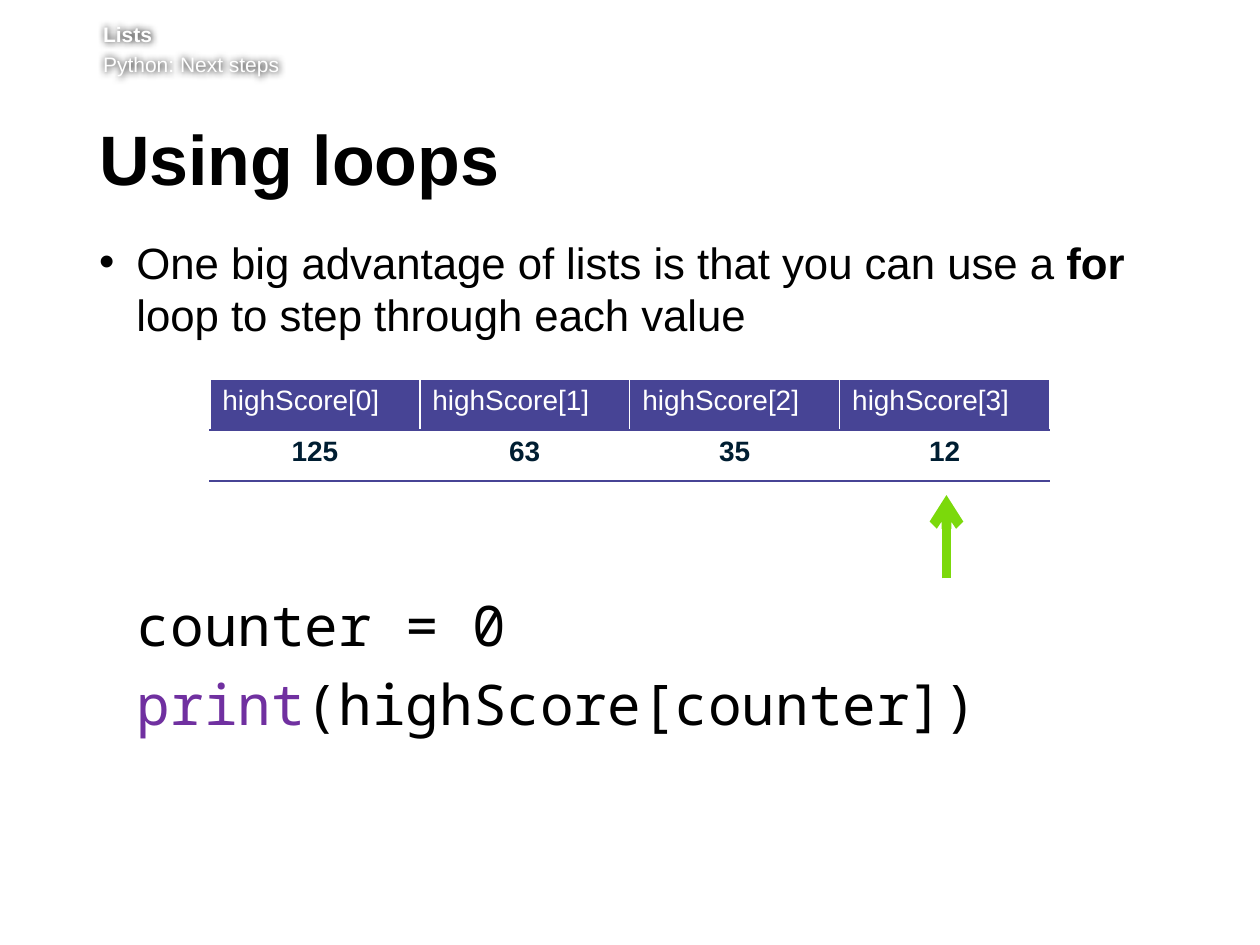
import pptx
import pptx.dml.color
import pptx.enum.shapes
import pptx.enum.text
import pptx.oxml
import pptx.oxml.ns
import pptx.util
from lxml import etree
from pptx.util import Cm, Pt

COLOURS = {
    "white": "FFFFFF",
    "text": "000000",
    "keyword": "7030A0",
    "table": "474495",
    "score": "001E32",
    "pointer": "7BD90B",
}
BODY_FONT = "Arial"
CODE_FONT = "Noto Sans Mono"
SCORES = [125, 63, 35, 12]


def rgb(name):
    return pptx.dml.color.RGBColor.from_string(COLOURS[name])


def add_xml(parent, tag, **attributes):
    child = etree.SubElement(parent, pptx.oxml.ns.qn(tag))
    for key, value in attributes.items():
        child.set(key, str(value))
    return child


def write(paragraph, text, size=25, font=BODY_FONT, colour="text", bold=False):
    run = paragraph.add_run()
    run.text = text
    run.font.size = Pt(size)
    run.font.name = font
    run.font.bold = bold
    run.font.color.rgb = rgb(colour)


def set_frame(frame, left=0, top=0, right=0.25, bottom=0.13):
    frame.word_wrap = True
    frame.auto_size = pptx.enum.text.MSO_AUTO_SIZE.NONE
    frame.vertical_anchor = pptx.enum.text.MSO_ANCHOR.TOP
    frame.margin_left, frame.margin_top = Cm(left), Cm(top)
    frame.margin_right, frame.margin_bottom = Cm(right), Cm(bottom)


def add_text_box(slide, left, top, width, height):
    box = slide.shapes.add_textbox(Cm(left), Cm(top), Cm(width), Cm(height))
    set_frame(box.text_frame)
    return box


def add_header(slide):
    header = add_text_box(slide, 2.08, 0.43, 22.4, 1.24)
    frame = header.text_frame
    for paragraph, text, bold in (
        (frame.paragraphs[0], "Lists", True),
        (frame.add_paragraph(), "Python: Next steps", False),
    ):
        paragraph.space_before = Pt(2.9)
        write(paragraph, text, size=12, colour="white", bold=bold)
    effects = add_xml(header._element.spPr, "a:effectLst")
    shadow = add_xml(effects, "a:outerShdw", blurRad=Pt(4), dist=0, algn="ctr", rotWithShape=0)
    add_xml(shadow, "a:srgbClr", val=COLOURS["text"])


def add_title(slide):
    title = slide.shapes.title
    title.left, title.top, title.width, title.height = Cm(2), Cm(2.51), Cm(21.72), Cm(1.85)
    set_frame(title.text_frame, top=0.13)
    heading = title.text_frame.paragraphs[0]
    heading.alignment = pptx.enum.text.PP_ALIGN.LEFT
    heading.line_spacing = Pt(39)
    write(heading, "Using loops", size=40, bold=True)


def add_bullet(slide):
    box = add_text_box(slide, 2, 4.75, 21.67, 2.5)
    point = box.text_frame.paragraphs[0]
    point.line_spacing = Pt(30)
    properties = point._p.get_or_add_pPr()
    properties.set("marL", str(Cm(0.75)))
    properties.set("indent", str(-Cm(0.75)))
    add_xml(properties, "a:buFont", typeface=BODY_FONT)
    add_xml(properties, "a:buChar", char="•")
    write(point, "One big advantage of lists is that you can use a ")
    write(point, "for", bold=True)
    write(point, " loop to step through each value")


def add_code(slide):
    frame = add_text_box(slide, 2.76, 11.9, 20.9, 3.6).text_frame
    assignment, call = frame.paragraphs[0], frame.add_paragraph()
    assignment.space_after = Pt(6.7)
    write(assignment, "counter = 0", size=32, font=CODE_FONT)
    write(call, "print", size=32, font=CODE_FONT, colour="keyword")
    write(call, "(highScore[counter])", size=32, font=CODE_FONT)


def add_cell_border(cell, tag):
    properties = cell._tc.get_or_add_tcPr()
    border = pptx.oxml.parse_xml(
        f'<a:{tag} {pptx.oxml.ns.nsdecls("a")} w="{Pt(1)}"><a:solidFill>'
        f'<a:srgbClr val="{COLOURS["table"]}"/></a:solidFill></a:{tag}>'
    )
    properties.insert(0, border)


def add_score_table(slide):
    frame = slide.shapes.add_table(
        2, len(SCORES), Cm(4.23), Cm(7.64), Cm(16.93), Cm(2.06))
    table = frame.table
    table.horz_banding = False
    for column, score in enumerate(SCORES):
        index_cell, score_cell = table.cell(0, column), table.cell(1, column)
        index_cell.fill.solid()
        index_cell.fill.fore_color.rgb = rgb("table")
        write(index_cell.text_frame.paragraphs[0], f"highScore[{column}]",
              size=16, colour="white")
        score_cell.fill.background()
        value = score_cell.text_frame.paragraphs[0]
        value.alignment = pptx.enum.text.PP_ALIGN.CENTER
        write(value, str(score), size=16, colour="score", bold=True)
        for tag in ("lnB", "lnT"):
            add_cell_border(score_cell, tag)


def add_pointer(slide):
    pointer = slide.shapes.add_connector(
        pptx.enum.shapes.MSO_CONNECTOR.STRAIGHT,
        Cm(19.08), Cm(11.66), Cm(19.08), Cm(9.98))
    pointer.line.color.rgb = rgb("pointer")
    pointer.line.width = Pt(5.5)
    add_xml(pointer.line._get_or_add_ln(), "a:tailEnd", type="arrow")
    add_xml(pointer._element.spPr, "a:effectLst")


def main():
    presentation = pptx.Presentation()
    presentation.slide_width, presentation.slide_height = Cm(25.4), Cm(19.05)
    slide = presentation.slides.add_slide(presentation.slide_layouts[5])
    add_header(slide)
    add_title(slide)
    add_bullet(slide)
    add_code(slide)
    add_score_table(slide)
    add_pointer(slide)
    presentation.save("out.pptx")


if __name__ == "__main__":
    main()
